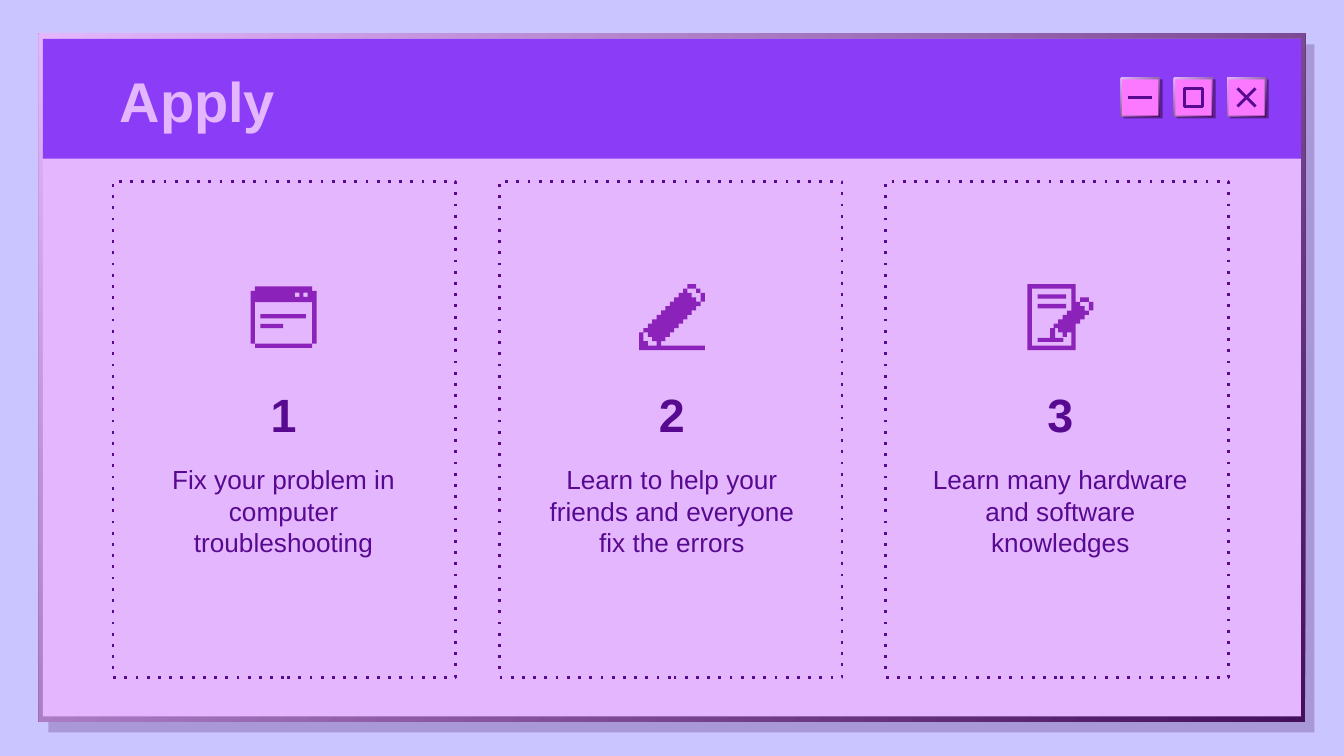
from collections import namedtuple

from lxml import etree
from pptx import Presentation
from pptx.dml.color import RGBColor
from pptx.enum.dml import MSO_LINE
from pptx.enum.shapes import MSO_CONNECTOR, MSO_SHAPE
from pptx.enum.text import MSO_ANCHOR, PP_ALIGN
from pptx.oxml.ns import qn
from pptx.util import Inches, Pt

RECTANGLE = MSO_SHAPE.RECTANGLE
STRAIGHT = MSO_CONNECTOR.STRAIGHT
DOTTED = MSO_LINE.ROUND_DOT
LEFT, CENTER = PP_ALIGN.LEFT, PP_ALIGN.CENTER
TOP, MIDDLE = MSO_ANCHOR.TOP, MSO_ANCHOR.MIDDLE

BACKDROP = RGBColor(0xCA, 0xC4, 0xFF)
LILAC = RGBColor(0xE4, 0xB6, 0xFE)
VIOLET = RGBColor(0x8A, 0x3C, 0xF6)
PLUM = RGBColor(0x44, 0x0F, 0x5C)
PINK = RGBColor(0xFA, 0x79, 0xFF)
INDIGO = RGBColor(0x57, 0x09, 0x90)
PURPLE = RGBColor(0x8B, 0x22, 0xBA)

FONT = "Arial"
SLIDE_W = 10
SLIDE_H = SLIDE_W * 9 / 16
STROKE = 1.5
PIXEL = 0.49 / 15

Box = namedtuple("Box", "x y w h")
Icon = namedtuple("Icon", "rows outlines bars")

WINDOW_ICON = Icon(14, [[
    [(1, 0), (1, 1), (0, 1), (0, 13), (1, 13), (1, 3.6), (14, 3.6),
     (14, 13), (15, 13), (15, 1), (14, 1), (14, 0)],
    [(10.1, 1.4), (11.1, 1.4), (11.1, 2.4), (10.1, 2.4)],
    [(12, 1.4), (13, 1.4), (13, 2.4), (12, 2.4)],
]], [(1, 13, 13, 1), (2.2, 6.3, 10.4, 1), (2.2, 8.5, 5.2, 1)])

PEN_UPPER_EDGE = [(k, y - k) for k in range(10, 0, -1) for y in (11, 12)]
PEN_LOWER_EDGE = [(k, y - k) for k in range(5, 15) for y in (19, 18)]
PEN_ICON = Icon(15, [[
    PEN_UPPER_EDGE
    + [(2, 11), (2, 12), (3, 12), (3, 13), (4, 13), (4, 14), (2, 14), (2, 13),
       (1, 13), (1, 11), (0, 11), (0, 15), (15, 15), (15, 14)]
    + PEN_LOWER_EDGE
    + [(13, 4), (13, 3), (12, 3), (12, 2), (11, 2), (11, 1)],
]], [(11, 0, 2, 1), (14, 2, 1, 2), (13, 1, 1, 1)])

NOTE_ICON = Icon(15, [[
    [(0, 0), (0, 15), (11, 15), (11, 9), (12, 9), (12, 8), (13, 8), (13, 7),
     (14, 7), (14, 6), (13, 6), (13, 5), (12, 5), (12, 4), (11, 4), (11, 0)],
    [(10, 1), (10, 6), (9, 6), (9, 7), (8, 7), (8, 8), (7, 8), (7, 9), (6, 9),
     (6, 10), (7, 10), (7, 11), (8, 11), (8, 12), (9, 12), (9, 11), (10, 11),
     (10, 14), (1, 14), (1, 1)],
], [
    [(5.2, 10), (5.2, 12.2), (2.3, 12.2), (2.3, 13.1), (8.2, 13.1),
     (8.2, 12.2), (6.3, 12.2), (6.3, 10)],
]], [(14, 4, 1, 2), (12, 3, 2, 1), (2.3, 2.3, 6.5, 1), (2.3, 4.5, 6.5, 1)])

STEPS = [
    ("1", "Fix your problem in computer troubleshooting", WINDOW_ICON),
    ("2", "Learn to help your friends and everyone fix the errors", PEN_ICON),
    ("3", "Learn many hardware and software knowledges", NOTE_ICON),
]


def inches(box):
    return [Inches(length) for length in box]


def add_panel(slide, box, color=None, opacity=100):
    panel = slide.shapes.add_shape(RECTANGLE, *inches(box))
    panel.shadow.inherit = False
    panel.line.fill.background()
    if color is None:
        panel.fill.background()
        return panel
    panel.fill.solid()
    panel.fill.fore_color.rgb = color
    if opacity < 100:
        tint = panel.element.spPr.find(".//" + qn("a:srgbClr"))
        etree.SubElement(tint, qn("a:alpha"), val=str(opacity * 1000))
    return panel


def add_bevel(slide, box):
    bevel = add_panel(slide, box, LILAC)
    bevel.fill.gradient()
    bevel.fill.gradient_angle = 135
    for stop, color, position in zip(bevel.fill.gradient_stops, (PLUM, LILAC), (0, 1)):
        stop.color.rgb = color
        stop.position = position


def outline(shape):
    shape.line.color.rgb = INDIGO
    shape.line.width = Pt(STROKE)


def add_stroke(slide, x1, y1, x2, y2):
    stroke = slide.shapes.add_connector(STRAIGHT, *inches((x1, y1, x2, y2)))
    outline(stroke)
    etree.SubElement(stroke.element.spPr, qn("a:effectLst"))


def write(frame, text, size, color, bold=False, align=CENTER, anchor=TOP):
    frame.word_wrap = True
    frame.vertical_anchor = anchor
    frame.margin_left = frame.margin_right = Inches(0.1)
    frame.margin_top = frame.margin_bottom = Inches(0.1)
    paragraph = frame.paragraphs[0]
    paragraph.alignment = align
    run = paragraph.add_run()
    run.text = text
    run.font.name = FONT
    run.font.size = Pt(size)
    run.font.bold = bold
    run.font.color.rgb = color


def add_icon(slide, icon, x, y):
    def place(point):
        return Inches(x + point[0] * PIXEL), Inches(y + point[1] * PIXEL)

    for contours in icon.outlines:
        builder = slide.shapes.build_freeform(*place(contours[0][0]))
        for index, contour in enumerate(contours):
            if index:
                builder.move_to(*place(contour[0]))
            builder.add_line_segments([place(point) for point in contour[1:]])
        drawing = builder.convert_to_shape()
        drawing.shadow.inherit = False
        drawing.fill.solid()
        drawing.fill.fore_color.rgb = PURPLE
        drawing.line.fill.background()
    for column, row, width, height in icon.bars:
        bar = Box(x + column * PIXEL, y + row * PIXEL, width * PIXEL, height * PIXEL)
        add_panel(slide, bar, PURPLE)


def add_window(slide, box):
    rim, drop = 0.03, 0.08
    add_panel(slide, Box(box.x + 0.07, box.y + drop, box.w, box.h), PLUM, 24)
    add_bevel(slide, box)
    inner = Box(box.x + rim, box.y + 0.04, box.w - 2 * rim, box.h - drop)
    add_panel(slide, inner, LILAC)
    return inner


def add_button(slide, box, glyph):
    add_panel(slide, Box(box.x + 0.02, box.y + 0.01, box.w, box.h), PLUM, 65)
    add_bevel(slide, box)
    face = Box(box.x + 0.01, box.y + 0.01, box.w - 0.02, box.h - 0.02)
    add_panel(slide, face, PINK)
    left, top = face.x + face.w / 4, face.y + face.h / 4
    right, bottom = left + face.w / 2, top + face.h / 2
    if glyph == "minimize":
        middle = face.y + face.h / 2
        add_stroke(slide, face.x + face.w / 6, middle, face.x + face.w * 5 / 6, middle)
    elif glyph == "maximize":
        outline(add_panel(slide, Box(left, top, right - left, bottom - top)))
    else:
        add_stroke(slide, right, top, left, bottom)
        add_stroke(slide, right, bottom, left, top)


def add_title_bar(slide, box, text):
    add_panel(slide, box, VIOLET)
    title = slide.shapes.title
    title.element.getparent().append(title.element)
    title.left, title.top, title.width, title.height = inches(
        Box(box.x + 0.47, box.y + 0.14, box.w * 0.45, 0.63))
    write(title.text_frame, text, 30, LILAC, True, LEFT, MIDDLE)
    side, pitch = 0.29, 0.395
    first = box.x + box.w - 1.34
    for index, glyph in enumerate(("minimize", "maximize", "close")):
        add_button(slide, Box(first + index * pitch, box.y + 0.29, side, side), glyph)


def add_step(slide, box, axis, number, advice, icon):
    card = add_panel(slide, box, LILAC)
    outline(card)
    card.line.dash_style = DOTTED
    card.element.spPr.find(".//" + qn("a:prstDash")).set("val", "dot")
    icon_middle = box.y + 1.01
    add_icon(slide, icon, axis - 7.5 * PIXEL, icon_middle - icon.rows / 2 * PIXEL)
    for text, size, bold, top, width, height in (
            (number, 25, True, 1.42, 2.56, 0.58),
            (advice, 14, False, 2, 2.16, 0.8)):
        area = Box(axis - width / 2, box.y + top, width, height)
        label = slide.shapes.add_textbox(*inches(area))
        write(label.text_frame, text, size, INDIGO, bold)


def main():
    deck = Presentation()
    deck.slide_width, deck.slide_height = Inches(SLIDE_W), Inches(SLIDE_H)
    slide = deck.slides.add_slide(deck.slide_layouts[5])
    slide.background.fill.solid()
    slide.background.fill.fore_color.rgb = BACKDROP

    inner = add_window(slide, Box(0.29, 0.25, 9.42, 5.12))
    add_title_bar(slide, Box(inner.x, inner.y, inner.w, 0.89), "Apply")
    for index, step in enumerate(STEPS):
        card = Box(0.84 + index * 2.875, 1.35, 2.55, 3.69)
        axis = SLIDE_W / 2 + (index - 1) * 2.89
        add_step(slide, card, axis, *step)
    deck.save("out.pptx")


if __name__ == "__main__":
    main()
